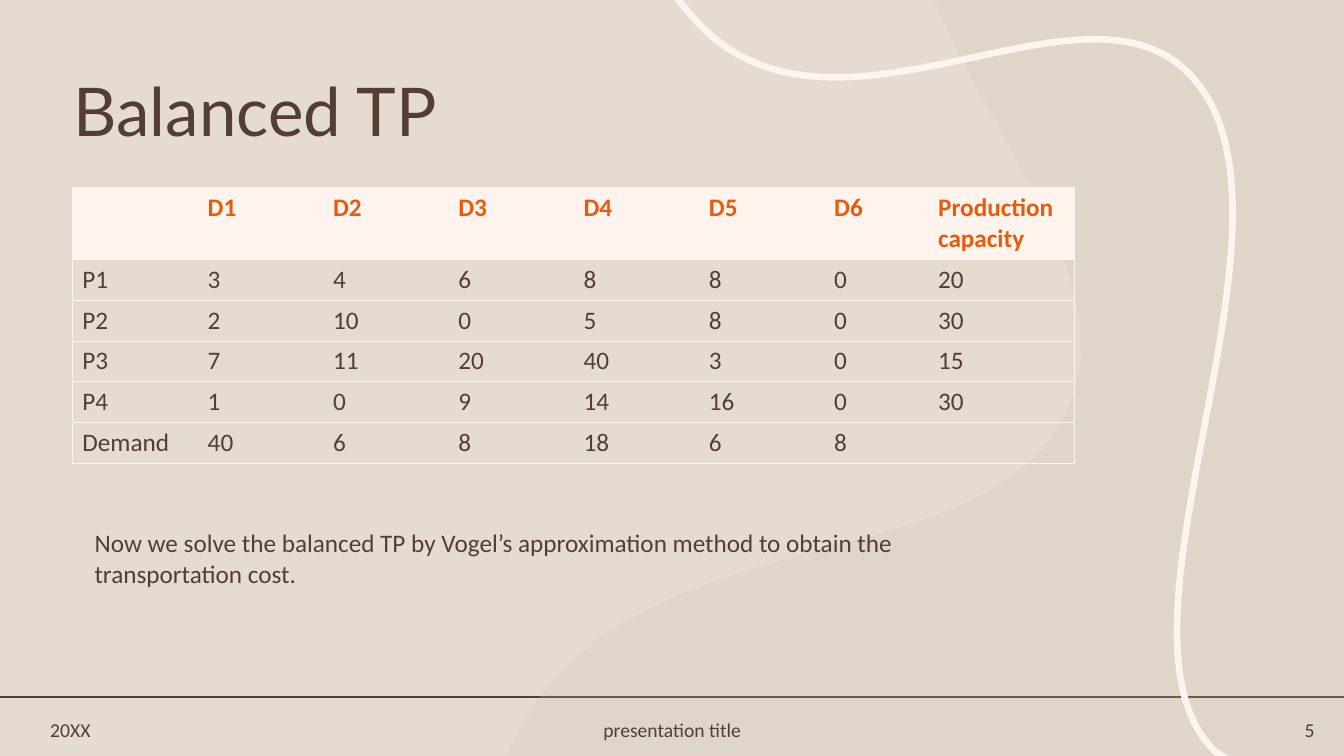
from dataclasses import dataclass

from lxml.etree import SubElement
from pptx import Presentation
from pptx.dml.color import RGBColor as Color
from pptx.enum.shapes import MSO_CONNECTOR as Connector
from pptx.enum.text import MSO_ANCHOR as Anchor, MSO_AUTO_SIZE as AutoSize, PP_ALIGN as Align
from pptx.oxml.ns import qn
from pptx.util import Pt


@dataclass(frozen=True)
class Theme:
    background: Color = Color.from_string("E6DBD0")
    brown: Color = Color.from_string("543E34")
    cream: Color = Color.from_string("FEF3ED")
    orange: Color = Color.from_string("E95A0D")
    sage: Color = Color.from_string("C6C4AF")
    heading_font: str = "Lato"
    body_font: str = "Calibri"
    title_size: int = 48
    body_size: int = 18
    footer_size: int = 14


theme = Theme()


def write(frame, text, size=theme.body_size, font=theme.body_font, color=theme.brown,
          bold=False, align=Align.LEFT, anchor=Anchor.TOP, spacing=1.0):
    frame.word_wrap = True
    frame.vertical_anchor = anchor
    paragraph = frame.paragraphs[0]
    paragraph.alignment = align
    paragraph.line_spacing = spacing
    run = paragraph.add_run()
    run.text = text
    run.font.size = Pt(size)
    run.font.name = font
    run.font.bold = bold
    run.font.color.rgb = color


def draw_outline(shapes, left, top, right, bottom, corners, curves, close):
    """Draw straight corners, then cubic curves given as (control, control, end)."""
    builder = shapes.build_freeform(Pt(left), Pt(top), scale=1.0)
    builder.add_line_segments([(Pt(right), Pt(bottom))], close=False)
    shape = builder.convert_to_shape()
    shape.shadow.inherit = False

    # Swap the diagonal that set the frame for the curved outline
    outline = shape._element.spPr.find(".//" + qn("a:path"))
    for segment in list(outline):
        outline.remove(segment)
    segments = [("a:moveTo", corners[:1])]
    segments += [("a:lnTo", [corner]) for corner in corners[1:]]
    segments += [("a:cubicBezTo", curve) for curve in curves]
    for tag, points in segments:
        segment = SubElement(outline, qn(tag))
        for x, y in points:
            SubElement(segment, qn("a:pt"), x=str(Pt(x - left)), y=str(Pt(y - top)))
    if close:
        SubElement(outline, qn("a:close"))
    return shape


presentation = Presentation()
presentation.slide_width, presentation.slide_height = Pt(960), Pt(540)
slide = presentation.slides.add_slide(presentation.slide_layouts[5])
shapes = slide.shapes
slide.background.fill.solid()
slide.background.fill.fore_color.rgb = theme.background

# Footer rule
rule = shapes.add_connector(Connector.STRAIGHT, Pt(0), Pt(498), Pt(960), Pt(498))
rule.line.color.rgb = theme.brown
rule.line.width = Pt(1.25)
SubElement(rule._element.spPr, qn("a:effectLst"))

# Translucent backdrop on the right
backdrop = draw_outline(
    shapes, 362.2, 0, 960, 540,
    [(667.4, 0), (960, 0), (960, 540), (362.2, 540), (365, 532.8)],
    [((367.9, 526.3), (370.8, 522), (372.2, 519.1)),
     ((454.3, 368.6), (692.6, 416.2), (757.4, 301.7)),
     ((808.6, 213.1), (711.4, 105.1), (671, 8.6))],
    close=True)
backdrop.fill.solid()
backdrop.fill.fore_color.rgb = theme.sage
backdrop.line.fill.background()
backdrop_color = backdrop._element.spPr.find(".//" + qn("a:srgbClr"))
SubElement(backdrop_color, qn("a:alpha"), val="20000")

# Winding ribbon
ribbon = draw_outline(
    shapes, 483.1, -2.2, 880.5, 542.2,
    [(876.2, 542.2), (874.1, 540.7), (867.6, 536.4)],
    [((780.5, 451.4), (941, 158.4), (853.2, 56.9)),
     ((776.2, -33.8), (590.4, 129.6), (491.8, 8.6)),
     ((489.6, 6.5), (486.7, 2.9), (483.1, -2.2))],
    close=False)
ribbon.fill.background()
ribbon.line.color.rgb = theme.cream
ribbon.line.width = Pt(4.75)

# Title, in front of the decoration
title = shapes.title
title.left, title.top, title.width, title.height = Pt(45.4), Pt(55.4), Pt(828), Pt(53.3)
title.text_frame.auto_size = AutoSize.NONE
write(title.text_frame, "Balanced TP", size=theme.title_size, font=theme.heading_font,
      anchor=Anchor.MIDDLE, spacing=0.9)
shapes._spTree.append(title._element)

# Footer
footers = [("20XX", 28.8, 77.8, Align.LEFT),
           ("presentation title", 344.9, 270.7, Align.CENTER),
           ("5", 868.3, 77.8, Align.RIGHT)]
for text, left, width, align in footers:
    box = shapes.add_textbox(Pt(left), Pt(509), Pt(width), Pt(24.5))
    write(box.text_frame, text, size=theme.footer_size, align=align, anchor=Anchor.MIDDLE)

# Transportation table
rows = [
    ["", "D1", "D2", "D3", "D4", "D5", "D6", "Production capacity"],
    ["P1", "3", "4", "6", "8", "8", "0", "20"],
    ["P2", "2", "10", "0", "5", "8", "0", "30"],
    ["P3", "7", "11", "20", "40", "3", "0", "15"],
    ["P4", "1", "0", "9", "14", "16", "0", "30"],
    ["Demand", "40", "6", "8", "18", "6", "8", ""],
]
column_widths = [89.5] * 6 + [74.3, 104.7]
row_heights = [51.2] + [29.2] * 5
table = shapes.add_table(len(rows), len(column_widths), Pt(51.7), Pt(133.9),
                         Pt(sum(column_widths)), Pt(sum(row_heights))).table
for column, width in zip(table.columns, column_widths):
    column.width = Pt(width)
for row, height in zip(table.rows, row_heights):
    row.height = Pt(height)

last_column = len(column_widths) - 1
for row_index, values in enumerate(rows):
    header = row_index == 0
    for column_index, value in enumerate(values):
        cell = table.cell(row_index, column_index)
        if value:
            write(cell.text_frame, value, bold=header,
                  color=theme.orange if header else theme.brown)
        # Outer frame and horizontal rules only
        edges = {"a:lnL": column_index == 0, "a:lnR": column_index == last_column,
                 "a:lnT": True, "a:lnB": True}
        for edge, visible in edges.items():
            border = SubElement(cell._tc.get_or_add_tcPr(), qn(edge), w=str(Pt(0.5)))
            if visible:
                fill = SubElement(border, qn("a:solidFill"))
                SubElement(fill, qn("a:srgbClr"), val=str(theme.cream))
            else:
                SubElement(border, qn("a:noFill"))
        if header:
            cell.fill.solid()
            cell.fill.fore_color.rgb = theme.cream
        else:
            cell.fill.background()

# Closing note
note = shapes.add_textbox(Pt(60.5), Pt(373.4), Pt(674.6), Pt(51.1))
note.text_frame.auto_size = AutoSize.SHAPE_TO_FIT_TEXT
write(note.text_frame, "Now we solve the balanced TP by Vogel’s approximation method "
                       "to obtain the transportation cost.")

presentation.save("out.pptx")
